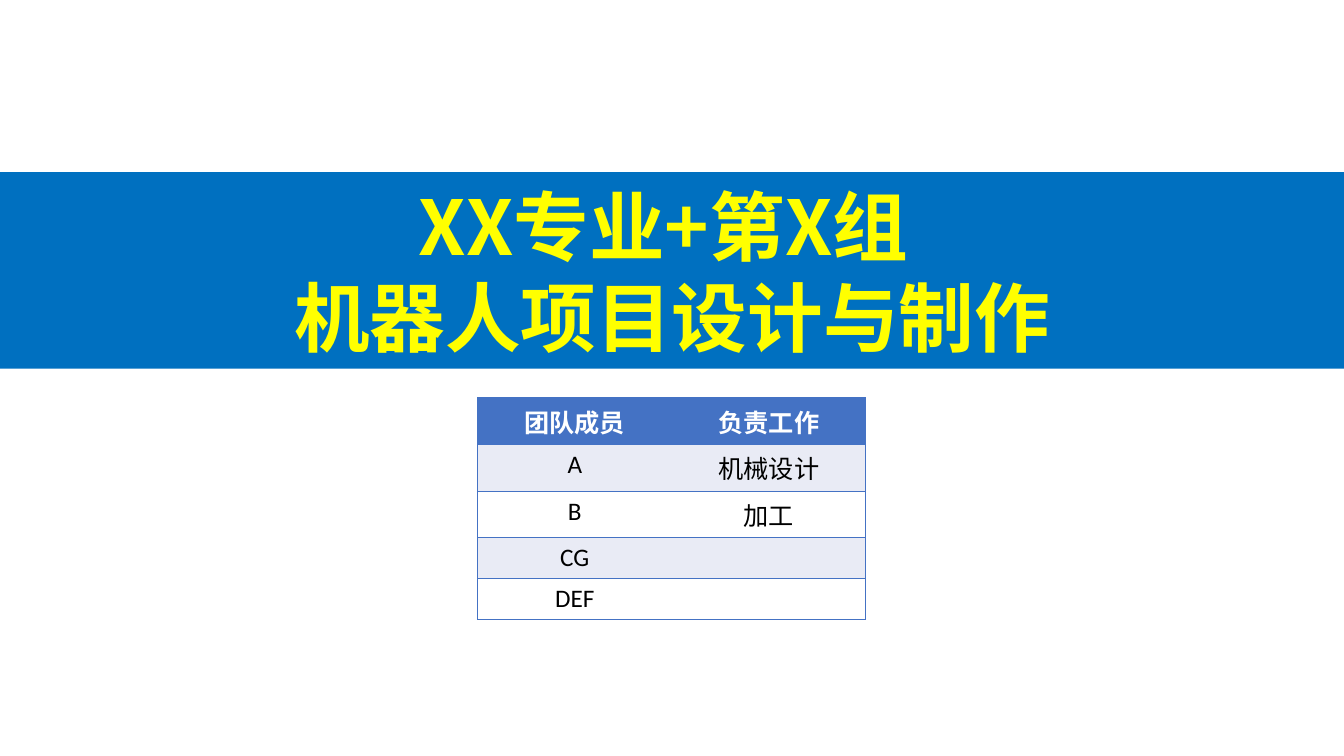
from lxml.etree import SubElement
from pptx import Presentation
from pptx.dml.color import RGBColor
from pptx.enum.text import MSO_ANCHOR, MSO_AUTO_SIZE, PP_ALIGN
from pptx.oxml import parse_xml
from pptx.oxml.ns import nsdecls, qn
from pptx.util import Cm, Pt

CHINESE = "Noto Sans CJK SC"
LATIN = "Calibri"
BORDER = "4472C4"


def add_span(para, text, size, font, color, bold):
    para.alignment = PP_ALIGN.CENTER
    span = para.add_run()
    span.text = text
    span.font.size = Pt(size)
    span.font.name = font
    span.font.bold = bold
    span.font.color.rgb = RGBColor.from_string(color)
    SubElement(span.font._element, qn("a:ea"), typeface=CHINESE)


def set_borders(cell, sides):
    """Draw the named sides (L, R, T, B) and clear the others."""
    properties = cell._tc.get_or_add_tcPr()
    for index, side in enumerate("LRTB"):
        paint = "<a:noFill/>"
        if side in sides:
            paint = f'<a:solidFill><a:srgbClr val="{BORDER}"/></a:solidFill>'
        line = f'<a:ln{side} {nsdecls("a")} w="{Pt(1)}">{paint}</a:ln{side}>'
        properties.insert(index, parse_xml(line))


deck = Presentation()
deck.slide_width = Cm(33.87)
deck.slide_height = Cm(19.05)
page = deck.slides.add_slide(deck.slide_layouts[5])

# Title band
title = page.shapes.title
title.left, title.top = Cm(0), Cm(4.34)
title.width, title.height = deck.slide_width, Cm(4.95)
title.fill.solid()
title.fill.fore_color.rgb = RGBColor.from_string("0070C0")
frame = title.text_frame
frame.word_wrap = True
frame.auto_size = MSO_AUTO_SIZE.NONE
frame.vertical_anchor = MSO_ANCHOR.MIDDLE
add_span(frame.paragraphs[0], "XX专业+第X组 ", 54, CHINESE, "FFFF00", True)
add_span(frame.add_paragraph(), "机器人项目设计与制作", 54, CHINESE, "FFFF00", True)

# Team table
team = [
    ("团队成员", "负责工作"),
    ("A", "机械设计"),
    ("B", "加工"),
    ("CG", ""),
    ("DEF", ""),
]
table = page.shapes.add_table(
    len(team), 2, Cm(12.04), Cm(10.03), Cm(9.78), Cm(0.58) * len(team)
).table
for row, entries in enumerate(team):
    header = row == 0
    fill = BORDER if header else ("E9EBF5" if row % 2 else "FFFFFF")
    for column, text in enumerate(entries):
        cell = table.cell(row, column)
        cell.fill.solid()
        cell.fill.fore_color.rgb = RGBColor.from_string(fill)
        set_borders(cell, "RTB" if column else "LTB")
        if text:
            add_span(
                cell.text_frame.paragraphs[0], text, 18,
                CHINESE if header else LATIN,
                "FFFFFF" if header else "000000", header,
            )

deck.save("out.pptx")
